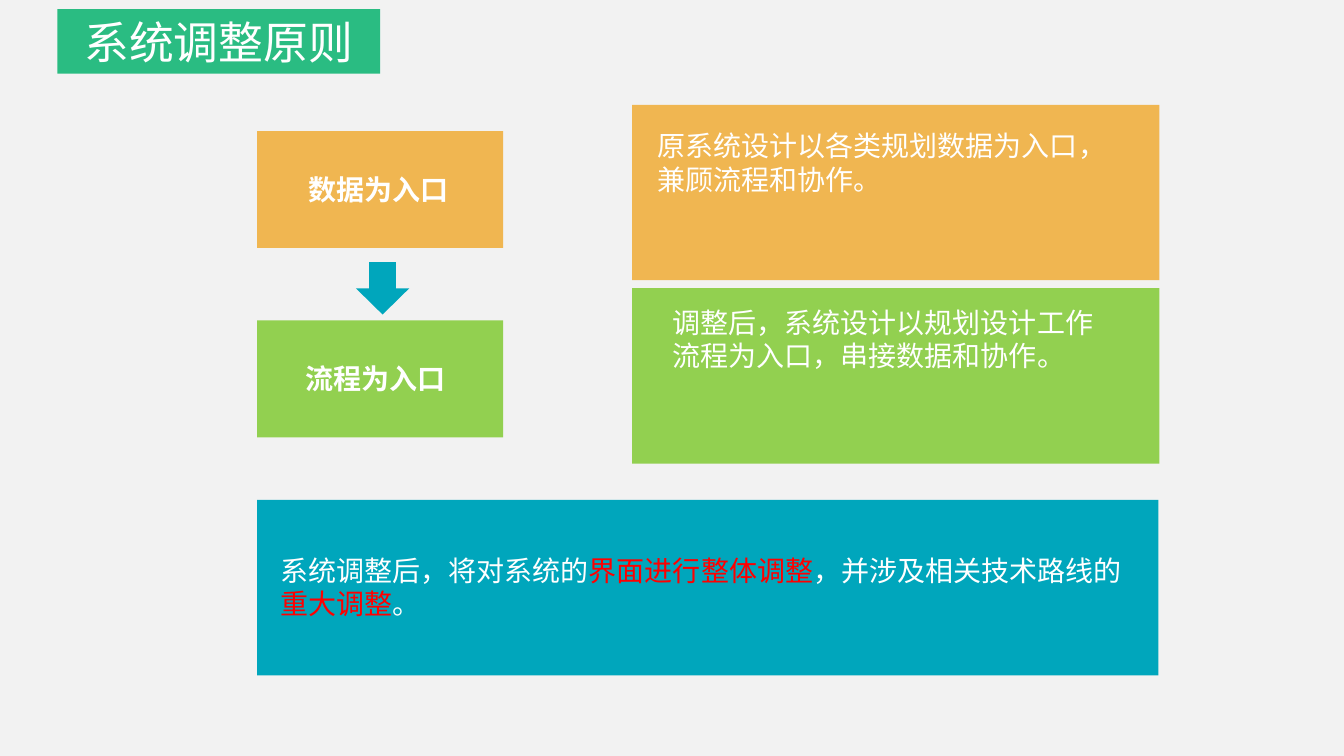
from lxml import etree
from pptx import Presentation
from pptx.dml.color import RGBColor
from pptx.enum.shapes import MSO_SHAPE
from pptx.enum.text import MSO_ANCHOR, PP_ALIGN
from pptx.oxml.ns import qn
from pptx.util import Pt

RECT, ARROW = MSO_SHAPE.RECTANGLE, MSO_SHAPE.DOWN_ARROW
LEFT, CENTER = PP_ALIGN.LEFT, PP_ALIGN.CENTER
TOP, MIDDLE = MSO_ANCHOR.TOP, MSO_ANCHOR.MIDDLE
PX = 9144  # 100 px to the inch
FONT = "Noto Sans CJK SC"
HUES = {"back": "F2F2F2", "title": "20BA7C", "data": "F0B651", "flow": "92D050",
        "sum": "00A6BC", "white": "FFFFFF", "red": "FF0000"}


def write(frame, parts, size=20, bold=False, align=LEFT, anchor=TOP):
    frame.word_wrap = True
    frame.vertical_anchor = anchor
    para = frame.paragraphs[0]
    para.alignment = align
    for text, hue in parts:
        run = para.add_run()
        run.text = text
        font = run.font
        font.size, font.bold, font.name = Pt(size), bold, FONT
        font.color.rgb = RGBColor.from_string(HUES[hue])
        etree.SubElement(run._r.get_or_add_rPr(), qn("a:ea"), typeface=FONT)


def draw(kind, box, hue):
    shape = slide.shapes.add_shape(kind, *[n * PX for n in box])
    shape.shadow.inherit = False
    shape.fill.solid()
    shape.fill.fore_color.rgb = RGBColor.from_string(HUES[hue])
    shape.line.fill.background()


prs = Presentation()
prs.slide_width, prs.slide_height = 1333 * PX, 750 * PX
slide = prs.slides.add_slide(prs.slide_layouts[5])
slide.background.fill.solid()
slide.background.fill.fore_color.rgb = RGBColor.from_string(HUES["back"])

# Title on a slightly clear green band
title = slide.shapes.title
title.left, title.top, title.width, title.height = [n * PX for n in (57, 9, 320, 64)]
title.fill.solid()
title.fill.fore_color.rgb = RGBColor.from_string(HUES["title"])
tint = title.fill._xPr.find(qn("a:solidFill"))[0]
etree.SubElement(tint, qn("a:alpha"), val="95000")
write(title.text_frame, [("系统调整原则", "white")], size=32, align=CENTER, anchor=MIDDLE)

# Entry boxes, their notes and the summary
for box, hue in [
    ((255, 130, 244, 116), "data"),
    ((627, 104, 523, 174), "data"),
    ((255, 318, 244, 116), "flow"),
    ((627, 286, 523, 174), "flow"),
    ((255, 496, 894, 174), "sum"),
]:
    draw(RECT, box, hue)
draw(ARROW, (353, 260, 53, 52), "sum")

# Text over the boxes
for box, bold, parts in [
    ((296, 166, 174, 44), True, [("数据为入口", "white")]),
    ((293, 354, 177, 44), True, [("流程为入口", "white")]),
    ((642, 123, 492, 77), False, [("原系统设计以各类规划数据为入口，兼顾流程和协作。", "white")]),
    ((657, 298, 462, 77), False,
     [("调整后，系统设计以规划设计工作流程为入口，串接数据和协作。", "white")]),
    ((268, 544, 881, 77), False,
     [("系统调整后，将对系统的", "white"), ("界面进行整体调整", "red"),
      ("，并涉及相关技术路线的", "white"), ("重大调整", "red"), ("。", "white")]),
]:
    label = slide.shapes.add_textbox(*[n * PX for n in box])
    write(label.text_frame, parts, bold=bold)

prs.save("out.pptx")
